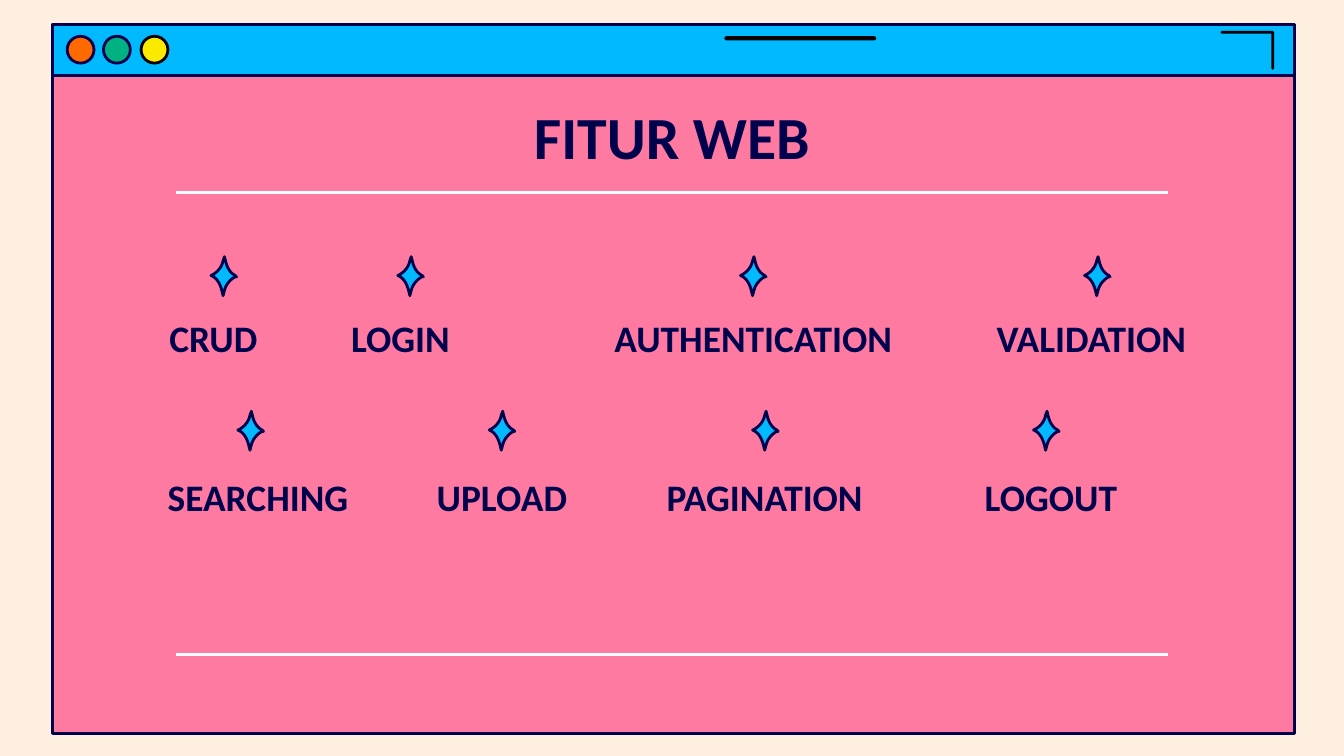
import lxml.etree
import pptx
import pptx.dml.color
import pptx.enum.shapes
import pptx.enum.text
import pptx.oxml.ns
import pptx.util

Inches = pptx.util.Inches
SHAPES = pptx.enum.shapes.MSO_SHAPE
ANCHORS = pptx.enum.text.MSO_ANCHOR

COLORS = {
    "cream": "FFEFE1", "pink": "FF7AA1", "blue": "00B9FF", "navy": "00004D",
    "black": "000000", "white": "FFFFFF", "orange": "FF6A00",
    "green": "00B181", "yellow": "FAEA00",
}
STAR_CURVES = [
    [(0.09, 0.03), (0.08, 0.08), (0.05, 0.11), (0.02, 0.13)],
    [(0, 0.14)],
    [(0.02, 0.15), (0.05, 0.17), (0.07, 0.21), (0.08, 0.25)],
    [(0.09, 0.29)],
    [(0.1, 0.25), (0.11, 0.21), (0.14, 0.17), (0.18, 0.15)],
    [(0.19, 0.15)],
    [(0.18, 0.14), (0.14, 0.12), (0.12, 0.08), (0.11, 0.04)],
]
CORNER_POINTS = [
    (9.09, 0.23), (9.47, 0.23), (9.48, 0.24), (9.48, 0.51), (9.47, 0.52),
    (9.46, 0.51), (9.46, 0.25), (9.09, 0.25), (9.08, 0.24),
]
BUTTONS = [("green", 0.77, "navy"), ("yellow", 1.05, "black"), ("orange", 0.5, "navy")]
FEATURE_ROWS = [
    (1.91, 2.34, [("CRUD ", 0.39, 2.46, 1.57), ("LOGIN", 1.75, 2.46, 2.96),
                  ("AUTHENTICATION", 4.13, 2.95, 5.51), ("VALIDATION", 6.89, 2.46, 8.07)]),
    (3.06, 3.52, [("SEARCHING", 0.69, 2.46, 1.77), ("UPLOAD", 2.95, 1.57, 3.64),
                  ("PAGINATION", 4.46, 2.46, 5.6), ("LOGOUT", 6.59, 2.46, 7.69)]),
]


class SlidePainter:
    """Draws flat outlined shapes and bold labels on one slide."""

    def __init__(self, slide):
        self.slide = slide
        self.font = {"name": "Calibri", "bold": True}
        self.frame = {"word_wrap": True}
        for side in ("left", "right", "top", "bottom"):
            self.frame[f"margin_{side}"] = Inches(0.1)
        self.line_width = pptx.util.Pt(1.5)

    def color(self, name):
        return pptx.dml.color.RGBColor.from_string(COLORS[name])

    def background(self, name):
        fill = self.slide.background.fill
        fill.solid()
        fill.fore_color.rgb = self.color(name)

    def paint(self, shape, fill, outline):
        shape.shadow.inherit = False
        shape.fill.solid()
        shape.fill.fore_color.rgb = self.color(fill)
        if outline:
            shape.line.color.rgb = self.color(outline)
            shape.line.width = self.line_width
            lxml.etree.SubElement(shape.line._get_or_add_ln(), pptx.oxml.ns.qn("a:round"))
        else:
            shape.line.fill.background()

    def shape(self, kind, box, fill, outline=None):
        shape = self.slide.shapes.add_shape(kind, *map(Inches, box))
        self.paint(shape, fill, outline)
        return shape

    def outline(self, points, fill, outline=None):
        corners = [(Inches(x), Inches(y)) for x, y in points]
        builder = self.slide.shapes.build_freeform(*corners[0])
        builder.add_line_segments(corners[1:], close=True)
        self.paint(builder.convert_to_shape(), fill, outline)

    def star(self, left, top):
        points = [(0.1, 0)]
        for curve in STAR_CURVES:
            if len(curve) == 1:
                points += curve
                continue
            for step in range(7):
                t = step / 6
                weights = ((1 - t) ** 3, 3 * t * (1 - t) ** 2, 3 * t * t * (1 - t), t ** 3)
                points.append([sum(w * p[axis] for w, p in zip(weights, curve))
                               for axis in (0, 1)])
        self.outline([(left + x, top + y) for x, y in points], "blue", "navy")

    def rule(self, left, right, top):
        connector = self.slide.shapes.add_connector(
            pptx.enum.shapes.MSO_CONNECTOR.STRAIGHT,
            Inches(left), Inches(top), Inches(right), Inches(top))
        connector.line.color.rgb = self.color("white")
        connector.line.width = self.line_width
        lxml.etree.SubElement(connector._element.spPr, pptx.oxml.ns.qn("a:effectLst"))

    def label(self, text, box, size, anchor):
        frame = self.slide.shapes.add_textbox(*map(Inches, box)).text_frame
        for name, value in {**self.frame, "vertical_anchor": anchor}.items():
            setattr(frame, name, value)
        paragraph = frame.paragraphs[0]
        paragraph.alignment = pptx.enum.text.PP_ALIGN.CENTER
        run = paragraph.add_run()
        run.text = text
        for name, value in {**self.font, "size": pptx.util.Pt(size)}.items():
            setattr(run.font, name, value)
        run.font.color.rgb = self.color("navy")


def main():
    presentation = pptx.Presentation()
    presentation.slide_width = Inches(10)
    presentation.slide_height = Inches(10 * 9 / 16)
    painter = SlidePainter(presentation.slides.add_slide(presentation.slide_layouts[6]))

    painter.background("cream")
    painter.shape(SHAPES.RECTANGLE, (0.39, 0.18, 9.24, 5.28), "pink", "navy")
    painter.shape(SHAPES.RECTANGLE, (0.39, 0.18, 9.24, 0.38), "blue", "navy")
    painter.outline(CORNER_POINTS, "black")
    bar = painter.shape(SHAPES.ROUNDED_RECTANGLE, (5.39, 0.27, 1.13, 0.03), "black")
    bar.adjustments[0] = 0.5
    for fill, left, outline in BUTTONS:
        painter.shape(SHAPES.OVAL, (left, 0.27, 0.2, 0.2), fill, outline)

    painter.label("FITUR WEB", (0.78, 0.64, 8.44, 0.63), 32, ANCHORS.TOP)
    for top in (4.87, 1.43):
        painter.rule(1.31, 8.69, top)
    for star_top, label_top, features in FEATURE_ROWS:
        for text, left, width, star_left in features:
            painter.star(star_left, star_top)
            painter.label(text, (left, label_top, width, 0.44), 20, ANCHORS.BOTTOM)

    presentation.save("out.pptx")


if __name__ == "__main__":
    main()
